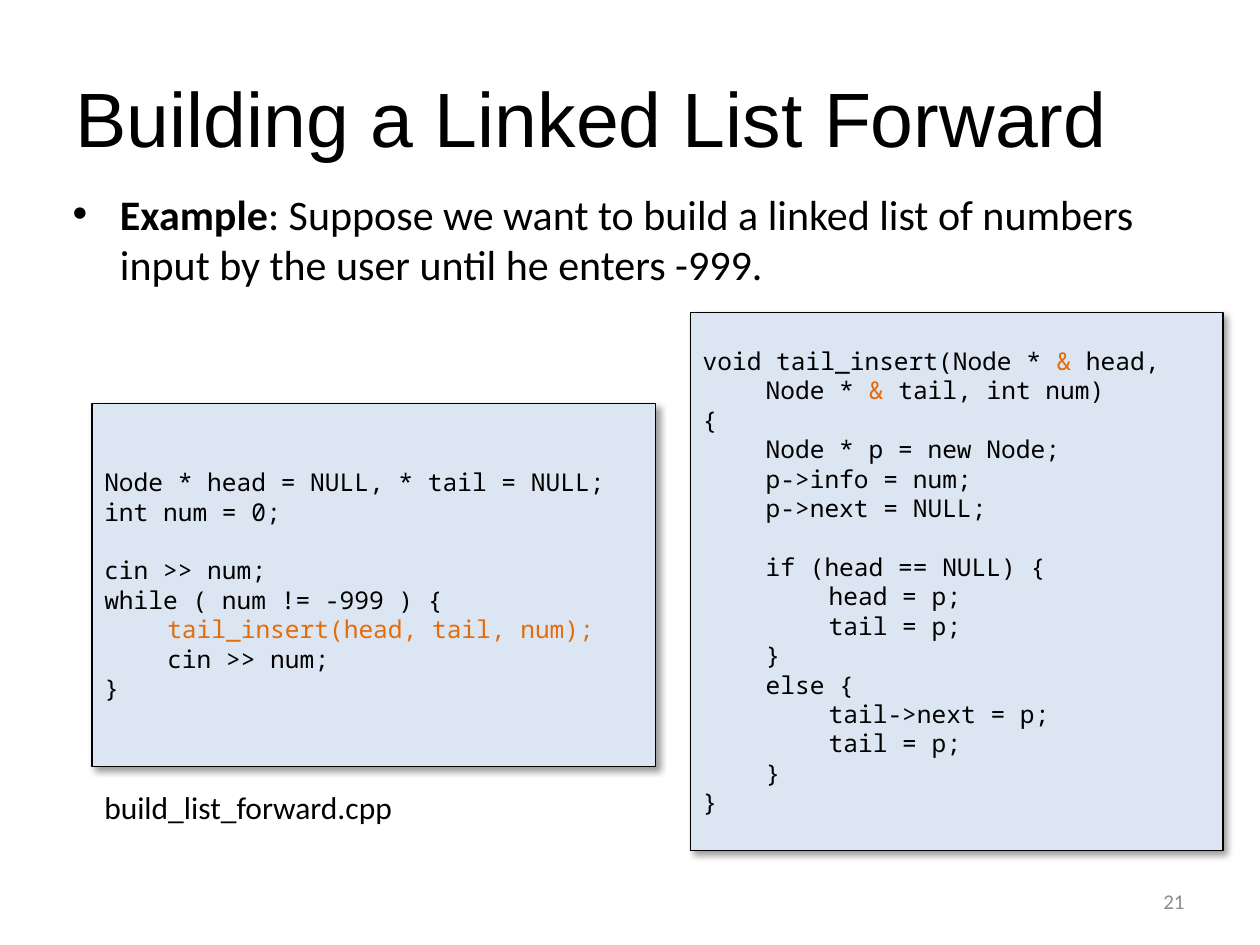
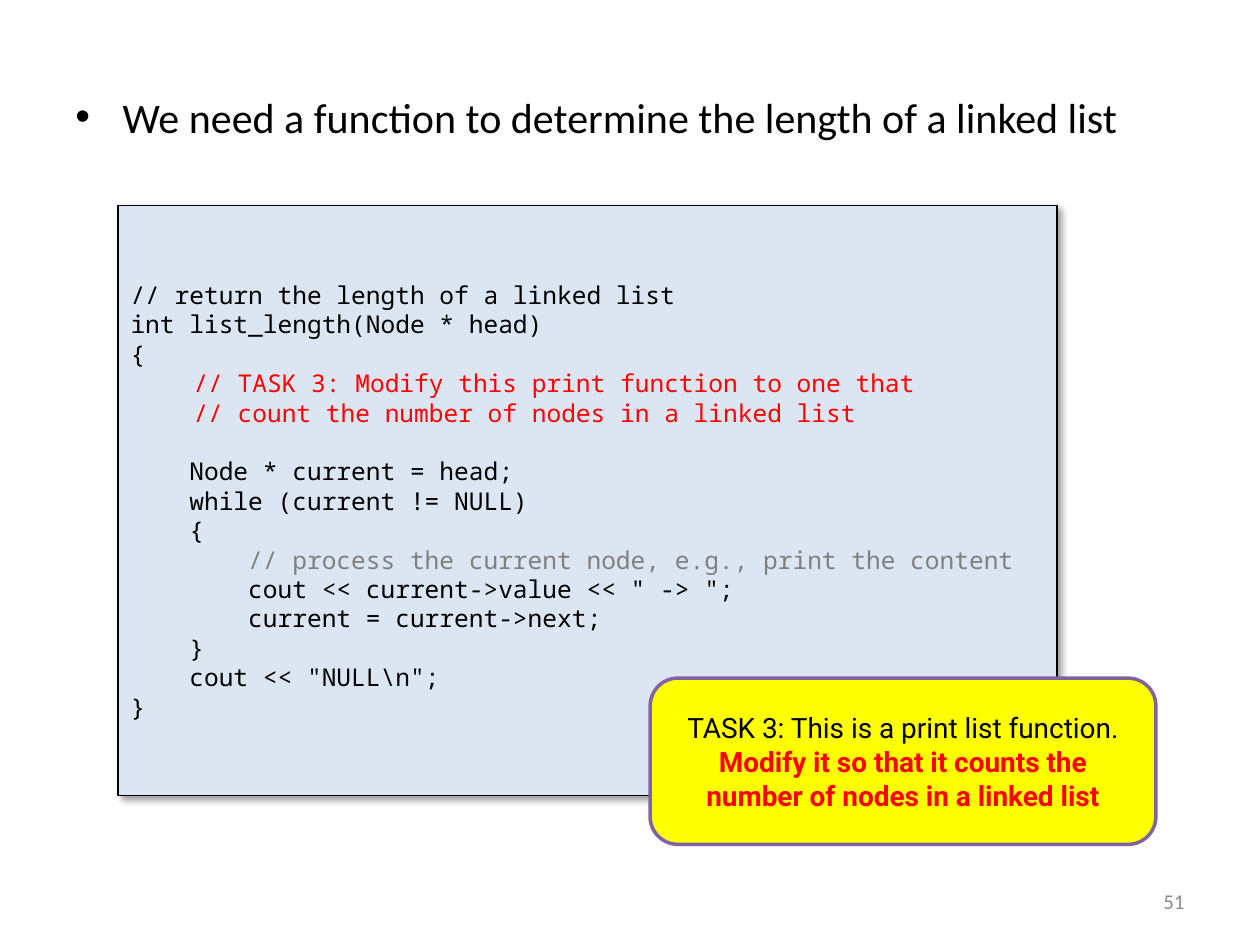
from lxml.etree import SubElement
from pptx import Presentation
from pptx.dml.color import RGBColor
from pptx.enum.shapes import MSO_SHAPE as Shape
from pptx.enum.text import MSO_ANCHOR as Anchor, PP_ALIGN as Align
from pptx.oxml.ns import qn
from pptx.util import Pt

BLACK, GRAY, RED, ORANGE = "000000", "808080", "FF0000", "E46C0A"
NUMBER_GRAY, CODE_FILL = "8C8C8C", "DCE6F2"
NOTE_FILL, NOTE_LINE = "FFFF00", "8064A2"
TITLE_FONT, BODY_FONT, CODE_FONT, NOTE_FONT = "Arial", "Calibri", "Noto Sans Mono", "Roboto"
CODE_SIZE, TAB_WIDTH, BULLET_INDENT = 14, 36, 27

BUILD_LOOP = [
    "Node * head = NULL, * tail = NULL;",
    "int num = 0;",
    "",
    "cin >> num;",
    "while ( num != -999 ) {",
    [("\ttail_insert(head, tail, num);", ORANGE)],
    "\tcin >> num;",
    "}",
]
TAIL_INSERT = [
    [("void tail_insert(Node * ", BLACK), ("&", ORANGE), (" head,", BLACK)],
    [("\tNode * ", BLACK), ("&", ORANGE), (" tail, int num)", BLACK)],
    "{",
    "\tNode * p = new Node;",
    "\tp->info = num;",
    "\tp->next = NULL;",
    "",
    "\tif (head == NULL) {",
    "\t\thead = p;",
    "\t\ttail = p;",
    "\t}",
    "\telse {",
    "\t\ttail->next = p;",
    "\t\ttail = p;",
    "\t}",
    "}",
]
LIST_LENGTH = [
    "// return the length of a linked list",
    "int list_length(Node * head)",
    "{",
    [("\t// TASK 3: Modify this print function to one that", RED)],
    [("\t// count the number of nodes in a linked list", RED)],
    "",
    "    Node * current = head;",
    "    while (current != NULL)",
    "    {",
    [("        // process the current node, e.g., print the content", GRAY)],
    '        cout << current->value << " -> ";',
    "        current = current->next;",
    "    }",
    '    cout << "NULL\\n";',
    "}",
]


def color(value):
    """Turn a hex string into a colour."""
    return RGBColor.from_string(value)


def add_run(paragraph, text, font, size, tint=BLACK, bold=False):
    """Append one formatted run to a paragraph."""
    run = paragraph.add_run()
    run.text = text
    run.font.name, run.font.size, run.font.bold = font, Pt(size), bold
    run.font.color.rgb = color(tint)


def add_text_box(slide, left, top, width, height, anchor=Anchor.TOP, wrap=True):
    """Add an empty text box and return its first paragraph."""
    frame = slide.shapes.add_textbox(Pt(left), Pt(top), Pt(width), Pt(height)).text_frame
    frame.word_wrap, frame.vertical_anchor = wrap, anchor
    return frame.paragraphs[0]


def add_panel(slide, kind, box, fill, line, line_width):
    """Add a filled, outlined shape without a shadow."""
    shape = slide.shapes.add_shape(kind, *map(Pt, box))
    shape.shadow.inherit = False
    shape.fill.solid()
    shape.fill.fore_color.rgb = color(fill)
    shape.line.color.rgb = color(line)
    shape.line.width = Pt(line_width)
    shape.text_frame.word_wrap = True
    shape.text_frame.vertical_anchor = Anchor.MIDDLE
    return shape


def add_drop_shadow(shape):
    """Give a shape a soft shadow to the lower right."""
    effects = shape._element.spPr.find(qn("a:effectLst"))
    shadow = SubElement(effects, qn("a:outerShdw"), blurRad=str(Pt(4)), dist=str(Pt(3)),
                        dir=str(45 * 60000), algn="tl", rotWithShape="0")
    tint = SubElement(shadow, qn("a:srgbClr"), val=BLACK)
    SubElement(tint, qn("a:alpha"), val="40000")


def set_tab_stops(paragraph):
    """Set two evenly spaced tab stops for code indents."""
    stops = SubElement(paragraph._p.get_or_add_pPr(), qn("a:tabLst"))
    for level in (1, 2):
        SubElement(stops, qn("a:tab"), pos=str(Pt(TAB_WIDTH * level)), algn="l")


def add_code(slide, box, lines):
    """Add a shadowed panel of code, one paragraph a line."""
    panel = add_panel(slide, Shape.RECTANGLE, box, CODE_FILL, BLACK, 0.75)
    add_drop_shadow(panel)
    frame = panel.text_frame
    for index, line in enumerate(lines):
        paragraph = frame.add_paragraph() if index else frame.paragraphs[0]
        paragraph.alignment = Align.LEFT
        set_tab_stops(paragraph)
        if not line:
            ending = SubElement(paragraph._p, qn("a:endParaRPr"), sz=str(CODE_SIZE * 100))
            SubElement(ending, qn("a:latin"), typeface=CODE_FONT)
            continue
        for text, tint in [(line, BLACK)] if isinstance(line, str) else line:
            add_run(paragraph, text, CODE_FONT, CODE_SIZE, tint)


def add_bullet(slide, box, runs):
    """Add a bulleted statement from (text, bold) runs."""
    paragraph = add_text_box(slide, *box)
    properties = paragraph._p.get_or_add_pPr()
    properties.set("marL", str(Pt(BULLET_INDENT)))
    properties.set("indent", str(-Pt(BULLET_INDENT)))
    bullet_color = SubElement(properties, qn("a:buClr"))
    SubElement(bullet_color, qn("a:srgbClr"), val=BLACK)
    SubElement(properties, qn("a:buFont"), typeface=TITLE_FONT)
    SubElement(properties, qn("a:buChar"), char="•")
    for text, bold in runs:
        add_run(paragraph, text, BODY_FONT, 24, bold=bold)


def add_title(slide, text):
    """Place and fill the title placeholder."""
    title = slide.shapes.title
    title.left, title.top, title.width, title.height = map(Pt, (36, 21.6, 648, 90))
    title.text_frame.vertical_anchor = Anchor.MIDDLE
    paragraph = title.text_frame.paragraphs[0]
    paragraph.alignment = Align.LEFT
    add_run(paragraph, text, TITLE_FONT, 44)


def add_slide_number(slide, number):
    """Add the page number at the lower right."""
    paragraph = add_text_box(slide, 516, 500.5, 168, 28.75, Anchor.MIDDLE)
    paragraph.alignment = Align.RIGHT
    add_run(paragraph, str(number), BODY_FONT, 12, NUMBER_GRAY)


def add_task_note(slide, box, runs):
    """Add a rounded note from (text, colour, bold) runs."""
    note = add_panel(slide, Shape.ROUNDED_RECTANGLE, box, NOTE_FILL, NOTE_LINE, 2)
    paragraph = note.text_frame.paragraphs[0]
    paragraph.alignment = Align.CENTER
    for text, tint, bold in runs:
        add_run(paragraph, text, NOTE_FONT, 16, tint, bold)


def build_forward_slide(presentation):
    """Build the slide on growing a list at its tail."""
    slide = presentation.slides.add_slide(presentation.slide_layouts[5])
    add_title(slide, "Building a Linked List Forward")
    add_bullet(slide, (34.5, 104, 676, 399), [
        ("Example", True),
        (": Suppose we want to build a linked list of numbers "
         "input by the user until he enters -999.", False),
    ])
    add_code(slide, (52.5, 230.5, 322, 207.5), BUILD_LOOP)
    add_code(slide, (394.5, 178.5, 304.5, 307.5), TAIL_INSERT)
    file_name = add_text_box(slide, 52.5, 446.5, 181, 29, wrap=False)
    add_run(file_name, "build_list_forward.cpp", BODY_FONT, 18)
    add_slide_number(slide, 21)


def build_length_slide(presentation):
    """Build the slide with the list length task."""
    slide = presentation.slides.add_slide(presentation.slide_layouts[6])
    add_bullet(slide, (36, 48.5, 648, 434), [
        ("We need a function to determine the length of a linked list", False),
    ])
    add_slide_number(slide, 51)
    add_code(slide, (67.5, 117.5, 536.5, 337), LIST_LENGTH)
    add_task_note(slide, (371.5, 387.5, 289, 95), [
        ("TASK 3: This is a print list function. ", BLACK, False),
        ("Modify it so that it counts the number of nodes in a linked list", RED, True),
    ])


def main():
    """Build and save the presentation."""
    presentation = Presentation()
    presentation.slide_width, presentation.slide_height = Pt(720), Pt(540)
    build_forward_slide(presentation)
    build_length_slide(presentation)
    presentation.save("out.pptx")


if __name__ == "__main__":
    main()
